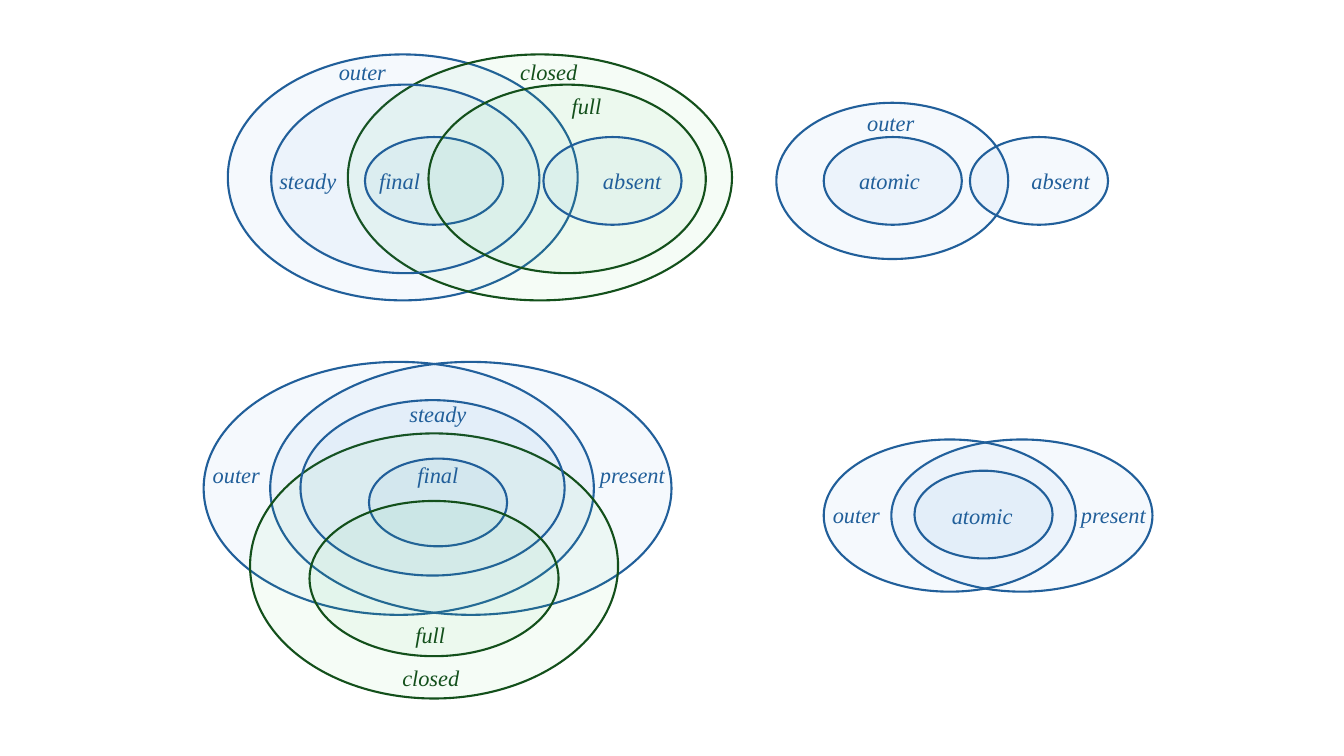
from dataclasses import dataclass

from lxml import etree
from pptx import Presentation
from pptx.dml.color import RGBColor
from pptx.enum import shapes, text
from pptx.oxml import ns
from pptx.slide import Slide
from pptx.util import Inches, Pt

COLORS = {
    "blue_fill": "4E95D9", "blue_ink": "215F9A",
    "green_fill": "47D45A", "green_ink": "13501B",
}
FONT = "Times New Roman"
OPACITY = 5  # percent
LABEL_HEIGHT = 0.27
LABEL_WIDTHS = {
    "outer": 0.48, "steady": 0.58, "final": 0.45, "atomic": 0.61,
    "absent": 0.68, "present": 0.65, "closed": 0.66, "full": 0.33,
}
WRAPPED_WORDS = {"closed", "full", "final", "absent"}
GREEN_WORDS = {"closed", "full"}


@dataclass(frozen=True)
class Region:
    """One set of a diagram: its ellipse and where its word starts."""
    word: str
    left: float
    top: float
    word_left: float
    word_top: float
    width: float = 1.37
    height: float = 0.87

    @property
    def hue(self) -> str:
        return "green" if self.word in GREEN_WORDS else "blue"


# Each diagram lists its regions from back to front
CLOSED_AND_ABSENT = [
    Region("outer", 2.26, 0.54, 3.36, 0.58, 3.47, 2.44),
    Region("closed", 3.45, 0.54, 5.16, 0.58, 3.81, 2.44),
    Region("steady", 2.69, 0.84, 2.77, 1.66, 2.66, 1.87),
    Region("final", 3.62, 1.36, 3.76, 1.66),
    Region("full", 4.25, 0.84, 5.67, 0.91, 2.75, 1.87),
    Region("absent", 5.39, 1.36, 5.98, 1.66),
]
ATOMIC_AND_ABSENT = [
    Region("outer", 7.7, 1.02, 8.6, 1.08, 2.3, 1.55),
    Region("atomic", 8.17, 1.36, 8.52, 1.66),
    Region("absent", 9.62, 1.36, 10.23, 1.66),
]
CLOSED_AND_PRESENT = [
    Region("outer", 2.02, 3.59, 2.11, 4.58, 3.87, 2.51),
    Region("present", 2.68, 3.59, 5.95, 4.58, 3.98, 2.51),
    Region("closed", 2.48, 4.3, 3.99, 6.59, 3.65, 2.63),
    Region("steady", 2.98, 3.97, 4.06, 3.97, 2.62, 1.74),
    Region("final", 3.66, 4.55, 4.14, 4.58),
    Region("full", 3.07, 4.97, 4.12, 6.16, 2.47, 1.54),
]
ATOMIC_AND_PRESENT = [
    Region("present", 8.84, 4.36, 10.72, 4.97, 2.59, 1.51),
    Region("outer", 8.17, 4.36, 8.26, 4.97, 2.5, 1.51),
    Region("atomic", 9.07, 4.67, 9.44, 4.98),
]
DIAGRAMS = [CLOSED_AND_ABSENT, ATOMIC_AND_ABSENT,
            CLOSED_AND_PRESENT, ATOMIC_AND_PRESENT]


def color(name: str) -> RGBColor:
    return RGBColor.from_string(COLORS[name])


def draw_ellipse(slide: Slide, region: Region) -> None:
    ellipse = slide.shapes.add_shape(
        shapes.MSO_SHAPE.OVAL, Inches(region.left), Inches(region.top),
        Inches(region.width), Inches(region.height))
    ellipse.shadow.inherit = False
    ellipse.fill.solid()
    ellipse.fill.fore_color.rgb = color(f"{region.hue}_fill")
    ellipse.line.color.rgb = color(f"{region.hue}_ink")
    ellipse.line.width = Pt(1.5)
    # Transparency of the fill
    fill_color = ellipse.fill._xPr.find(ns.qn("a:solidFill"))[0]
    alpha = etree.SubElement(fill_color, ns.qn("a:alpha"))
    alpha.set("val", str(OPACITY * 1000))


def draw_word(slide: Slide, region: Region) -> None:
    label = slide.shapes.add_textbox(
        Inches(region.word_left), Inches(region.word_top),
        Inches(LABEL_WIDTHS[region.word]), Inches(LABEL_HEIGHT))
    frame = label.text_frame
    frame.margin_left = frame.margin_right = 0
    frame.margin_top = frame.margin_bottom = 0
    frame.word_wrap = region.word in WRAPPED_WORDS
    frame.auto_size = text.MSO_AUTO_SIZE.SHAPE_TO_FIT_TEXT
    word = frame.paragraphs[0]
    word.text = region.word
    word.font.name = FONT
    word.font.size = Pt(16)
    word.font.italic = True
    word.font.color.rgb = color(f"{region.hue}_ink")


def main() -> None:
    deck = Presentation()
    deck.slide_width, deck.slide_height = Inches(13.33), Inches(7.5)
    slide = deck.slides.add_slide(deck.slide_layouts[6])
    for diagram in DIAGRAMS:
        for region in diagram:
            draw_ellipse(slide, region)
        for region in diagram:
            draw_word(slide, region)
    deck.save("out.pptx")


if __name__ == "__main__":
    main()
